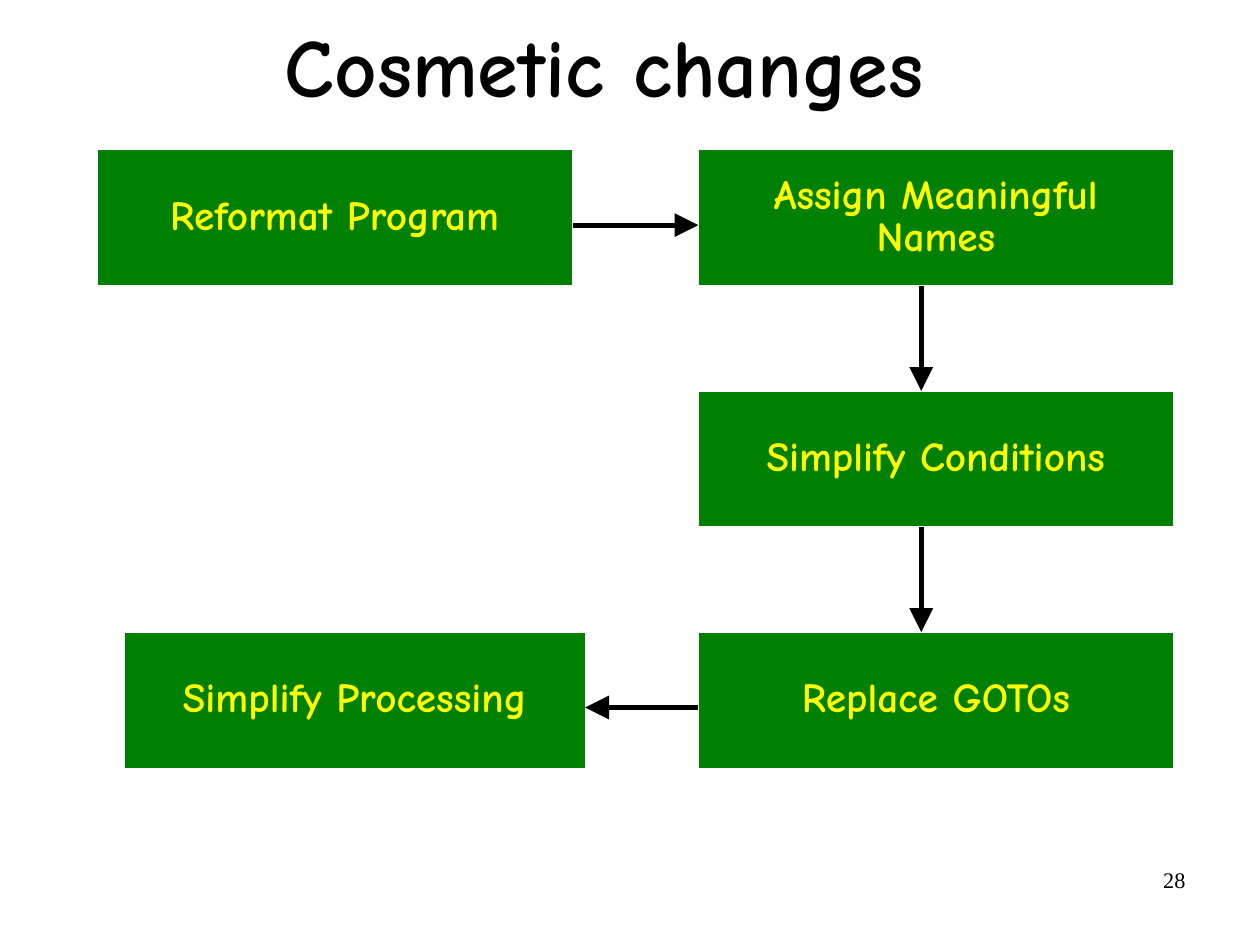
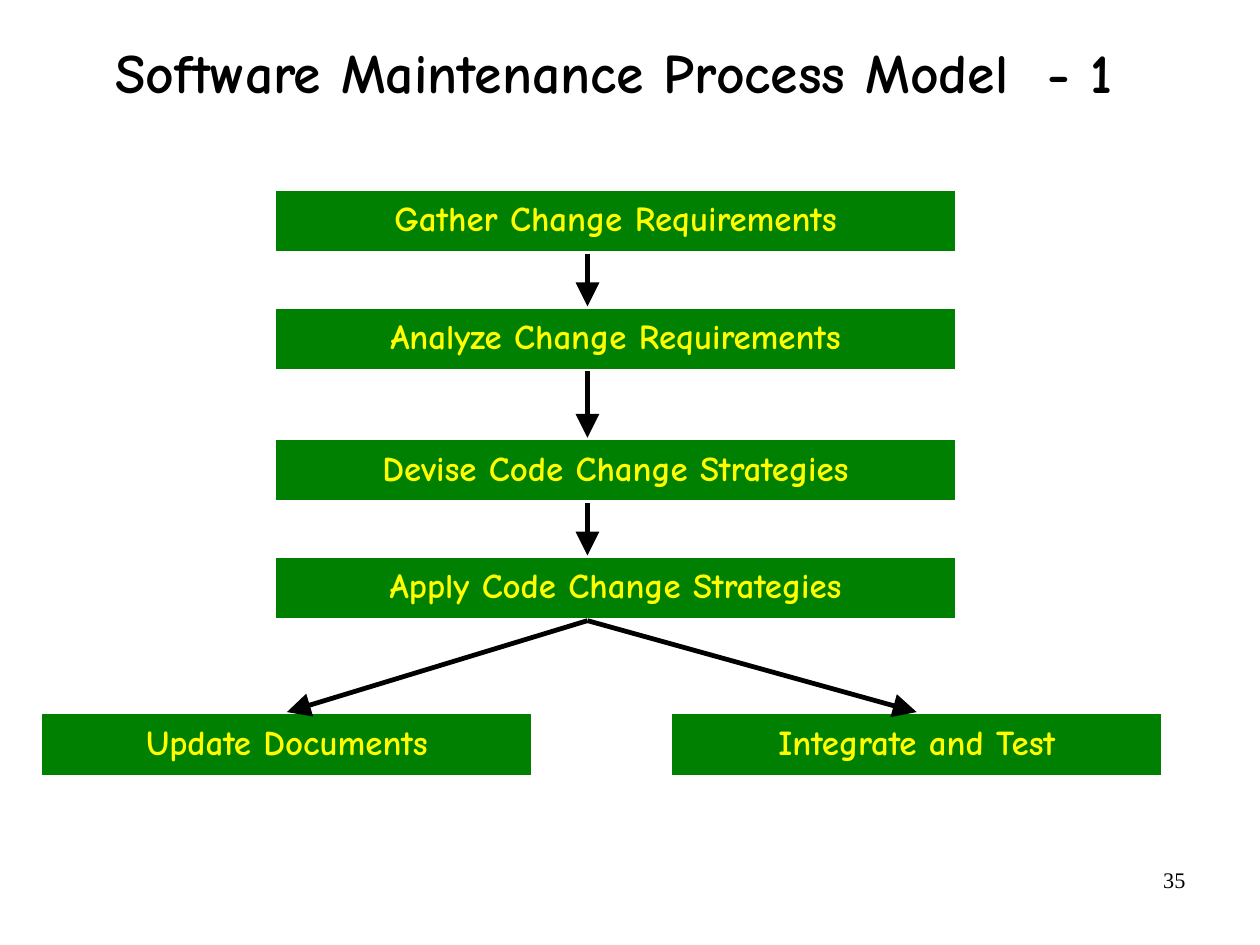
from itertools import pairwise

from lxml.etree import SubElement
from pptx import Presentation
from pptx.dml.color import RGBColor
from pptx.enum.shapes import MSO_CONNECTOR, MSO_SHAPE
from pptx.enum.text import MSO_ANCHOR, MSO_AUTO_SIZE, PP_ALIGN
from pptx.oxml.ns import qn
from pptx.util import Cm, Inches, Pt

# Shared style
BLACK, WHITE, GREEN, YELLOW = "000000", "FFFFFF", "008000", "FFFF00"
HEADING_FONT, NUMBER_FONT = "Comic Neue", "Times New Roman"
TITLE_ONLY_LAYOUT = 5


def color(hex_string):
    return RGBColor.from_string(hex_string)


def write_text(shape, text, size, hex_color, font=HEADING_FONT, bold=True,
               align=PP_ALIGN.CENTER, anchor=MSO_ANCHOR.MIDDLE,
               margins=(0.02, 0.06), line_spacing=None, space_before=0):
    """Write one paragraph; a newline in the text becomes a line break."""
    frame = shape.text_frame
    frame.word_wrap = True
    frame.auto_size = MSO_AUTO_SIZE.NONE
    frame.vertical_anchor = anchor
    frame.margin_left = frame.margin_right = Inches(margins[0])
    frame.margin_top = frame.margin_bottom = Inches(margins[1])
    paragraph = frame.paragraphs[0]
    paragraph.alignment = align
    paragraph.line_spacing = line_spacing
    paragraph.space_before = Pt(space_before)
    for index, line in enumerate(text.split("\n")):
        if index:
            paragraph.add_line_break()
        run = paragraph.add_run()
        run.text = line
        run.font.name = font
        run.font.size = Pt(size)
        run.font.bold = bold
        run.font.color.rgb = color(hex_color)


def add_slide(presentation, title, place, number, size, line_spacing, space_before):
    """Add a slide with its title and page number."""
    slide = presentation.slides.add_slide(presentation.slide_layouts[TITLE_ONLY_LAYOUT])
    title_shape = slide.shapes.title
    title_shape.left, title_shape.top, title_shape.width, title_shape.height = map(Inches, place)
    write_text(title_shape, title, size, BLACK,
               line_spacing=line_spacing, space_before=space_before)
    number_box = slide.shapes.add_textbox(*map(Inches, (7.9, 7.53, 2.57, 0.57)))
    write_text(number_box, number, 14, BLACK, font=NUMBER_FONT, bold=False,
               align=PP_ALIGN.RIGHT, anchor=MSO_ANCHOR.TOP, margins=(0.1, 0.05))
    return slide


def add_step(slide, text, place, size, border, space_before):
    """Add a green process box."""
    shape = slide.shapes.add_shape(MSO_SHAPE.ROUNDED_RECTANGLE, *map(Inches, place))
    shape.adjustments[0] = 0
    shape.shadow.inherit = False
    shape.fill.solid()
    shape.fill.fore_color.rgb = color(GREEN)
    shape.line.color.rgb = color(WHITE)
    shape.line.width = Pt(border)
    write_text(shape, text, size, YELLOW, line_spacing=0.85, space_before=space_before)


def add_arrow(slide, start, end):
    """Add a straight black arrow with a large head."""
    connector = slide.shapes.add_connector(
        MSO_CONNECTOR.STRAIGHT, *map(Inches, (*start, *end)))
    connector.line.color.rgb = color(BLACK)
    connector.line.width = Pt(3)
    properties = connector._element.spPr
    SubElement(properties.find(qn("a:ln")), qn("a:tailEnd"),
               type="triangle", w="lg", len="lg")
    SubElement(properties, qn("a:effectLst"))


def build_cosmetic_changes(presentation):
    slide = add_slide(presentation, "Cosmetic changes", (0.6, -0.07, 9.37, 1.38),
                      "28", 52, 0.88, 12)
    # Boxes on three evenly spaced rows
    rows = [1.31 + 2.11 * row for row in range(3)]
    left, right, width, height = 0.85, 6.11, 4.16, 1.19
    last_left, last_width = 1.09, 4.03
    steps = [
        ("Reformat Program", left, rows[0], width),
        ("Assign Meaningful\nNames", right, rows[0], width),
        ("Simplify Conditions", right, rows[1], width),
        ("Replace GOTOs", right, rows[2], width),
        ("Simplify Processing", last_left, rows[2], last_width),
    ]
    for text, x, y, step_width in steps:
        add_step(slide, text, (x, y, step_width, height), 26, 0.75, 6)

    # Arrows across, down the right column, and back
    arrow_offset, column_x = 0.66, 8.06
    top_y, bottom_y = rows[0] + arrow_offset, rows[2] + arrow_offset
    add_arrow(slide, (left + width, top_y), (right, top_y))
    for upper, lower in pairwise(rows):
        add_arrow(slide, (column_x, upper + height), (column_x, lower))
    add_arrow(slide, (right, bottom_y), (last_left + last_width, bottom_y))


def build_process_model(presentation):
    slide = add_slide(presentation, "Software Maintenance Process Model  - 1",
                      (0.11, 0.02, 10.53, 1.38), "35", 35, 0.63, 8)
    height, arrow_x = 0.57, 5.14
    # Main sequence
    sequence = {
        "Gather Change Requirements": 1.65,
        "Analyze Change Requirements": 2.68,
        "Devise Code Change Strategies": 3.83,
        "Apply Code Change Strategies": 4.86,
    }
    for text, top in sequence.items():
        add_step(slide, text, (2.39, top, 5.99, height), 22, 3, 5.1)
    for upper, lower in pairwise(sequence.values()):
        add_arrow(slide, (arrow_x, upper + height), (arrow_x, lower))

    # Two closing branches
    branch_top, branch_width = 6.23, 4.32
    fork = (arrow_x, sequence["Apply Code Change Strategies"] + height)
    for text, left in (("Update Documents", 0.35), ("Integrate and Test", 5.86)):
        add_step(slide, text, (left, branch_top, branch_width, height), 22, 3, 5.1)
        add_arrow(slide, fork, (left + branch_width / 2, branch_top))


def main():
    presentation = Presentation()
    # The page is a metric format, 28 by 21 cm
    presentation.slide_width = Cm(28)
    presentation.slide_height = Cm(21)
    build_cosmetic_changes(presentation)
    build_process_model(presentation)
    presentation.save("out.pptx")


if __name__ == "__main__":
    main()
